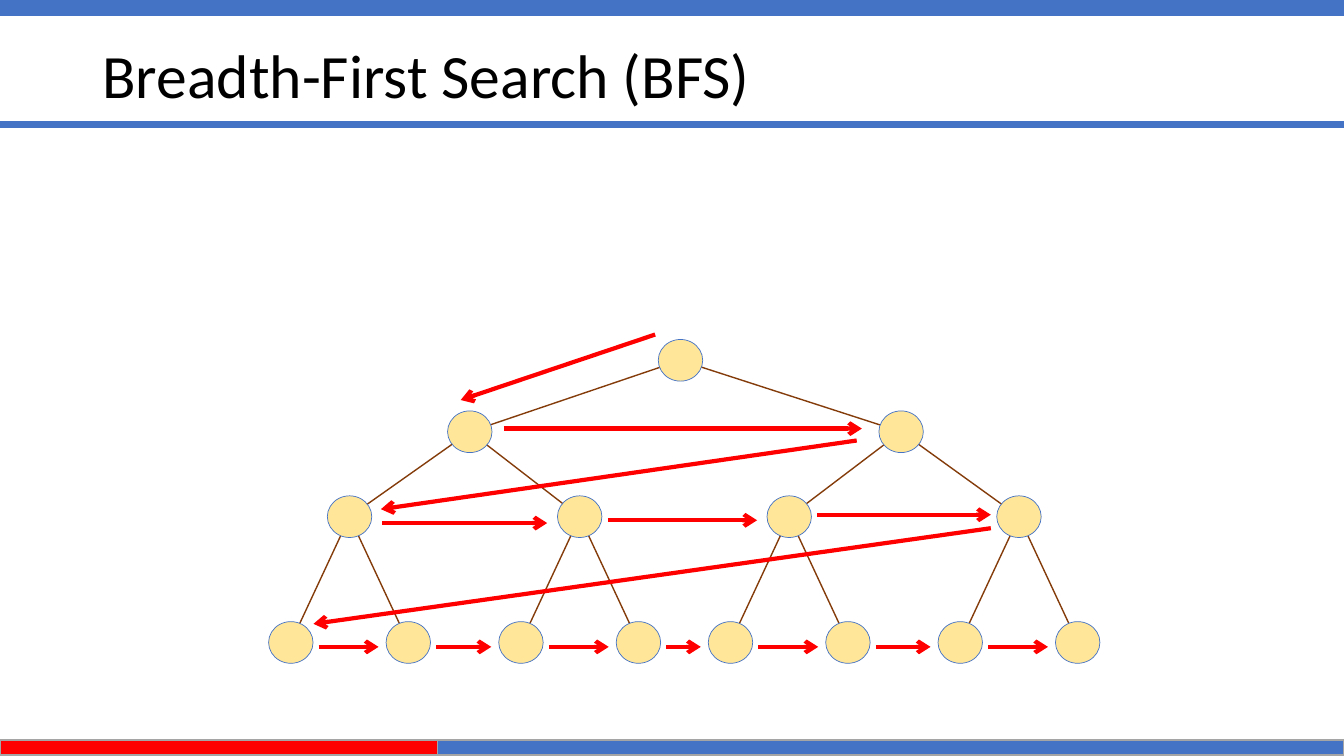
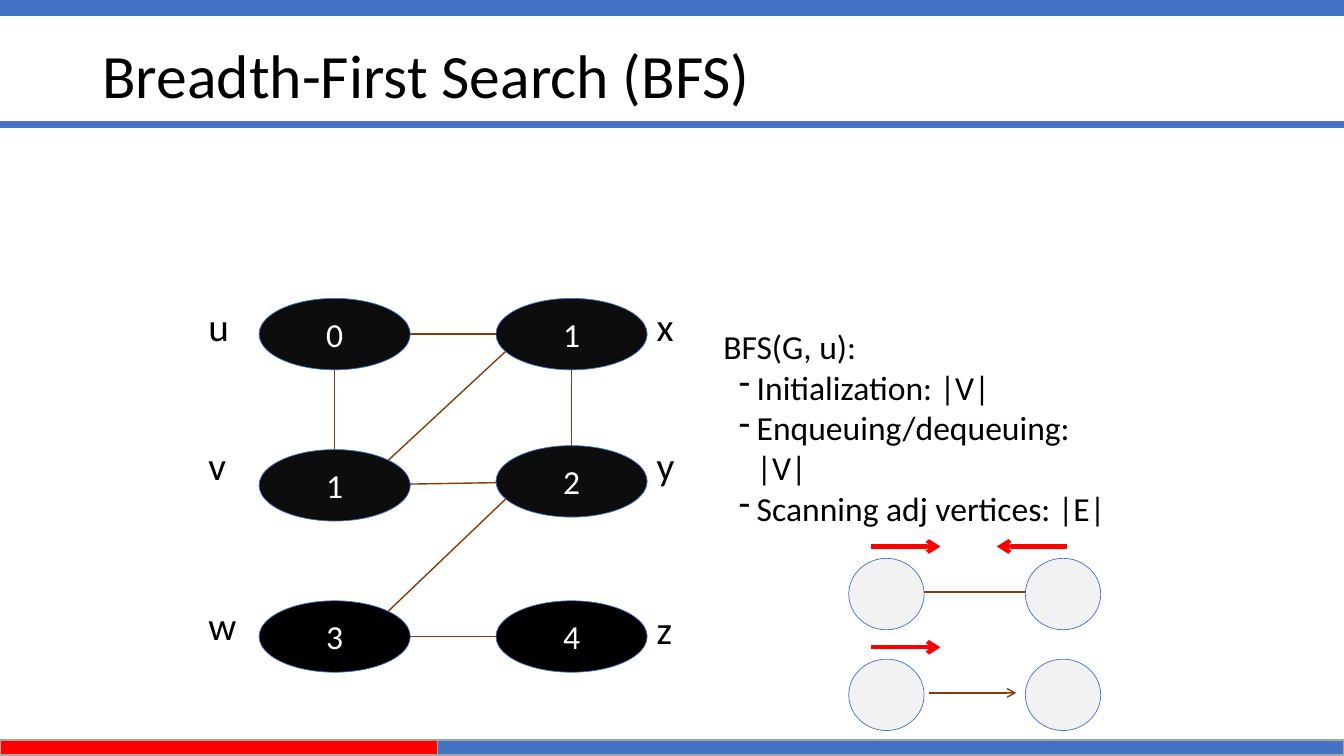
from lxml.etree import SubElement as Sub
from pptx import Presentation
from pptx.dml.color import RGBColor as RGB
from pptx.enum.shapes import MSO_CONNECTOR as Conn, MSO_SHAPE as Form
from pptx.enum.text import MSO_ANCHOR as Anchor, MSO_AUTO_SIZE as Auto, PP_ALIGN as Align
from pptx.oxml.ns import qn
from pptx.util import Cm, Pt

BLUE = RGB(0x44, 0x72, 0xC4)
RED = RGB(0xFF, 0x00, 0x00)
GRAY = RGB(0xA5, 0xA5, 0xA5)
BROWN = RGB(0x84, 0x3C, 0x0B)
CREAM = RGB(0xFF, 0xE6, 0x99)
PALE = RGB(0xF2, 0xF2, 0xF2)
INK = RGB(0x0D, 0x0D, 0x0D)
BLACK = RGB(0x00, 0x00, 0x00)
WHITE = RGB(0xFF, 0xFF, 0xFF)
FONT = "Calibri"
TITLE = "Breadth-First Search (BFS)"
WIDE, HIGH = 33.87, 19.05


# Basic parts, all lengths in centimetres

def style(para, size, color=BLACK):
    para.font.name = FONT
    para.font.size = Pt(size)
    para.font.color.rgb = color


def shape(slide, form, x, y, w, h, fill, edge=BLUE, weight=0.5):
    item = slide.shapes.add_shape(form, Cm(x), Cm(y), Cm(w), Cm(h))
    item.shadow.inherit = False
    item.fill.solid()
    item.fill.fore_color.rgb = fill
    item.line.color.rgb = edge
    item.line.width = Pt(weight)
    return item


def oval(slide, x, y, w, h, fill, text=""):
    item = shape(slide, Form.OVAL, x, y, w, h, fill)
    if text:
        frame = item.text_frame
        frame.vertical_anchor = Anchor.MIDDLE
        para = frame.paragraphs[0]
        para.text = text
        para.alignment = Align.CENTER
        style(para, 24, WHITE)


def line(slide, x1, y1, x2, y2, color=BROWN, weight=1, arrow=False):
    item = slide.shapes.add_connector(
        Conn.STRAIGHT, Cm(x1), Cm(y1), Cm(x2), Cm(y2))
    item.line.color.rgb = color
    item.line.width = Pt(weight)
    props = item.element.spPr
    if arrow:
        Sub(props.find(qn("a:ln")), qn("a:tailEnd"), type="arrow")
    Sub(props, qn("a:effectLst"))


def arrow(slide, x1, y1, x2, y2):
    line(slide, x1, y1, x2, y2, RED, 3, True)


def text_box(slide, x, y, w, h):
    frame = slide.shapes.add_textbox(Cm(x), Cm(y), Cm(w), Cm(h)).text_frame
    frame.word_wrap = True
    frame.auto_size = Auto.SHAPE_TO_FIT_TEXT
    return frame


# Shared frame: bands and title

def base(prs):
    slide = prs.slides.add_slide(prs.slide_layouts[5])
    for x, y, w, h, fill, edge in (
            (0, 0, WIDE, 0.38, BLUE, BLUE),
            (0, 3.07, WIDE, 0.13, BLUE, BLUE),
            (0, 18.65, 11.05, 0.38, RED, GRAY),
            (11.03, 18.65, WIDE - 11.03, 0.38, BLUE, GRAY)):
        shape(slide, Form.RECTANGLE, x, y, w, h, fill, edge, 1)
    title = slide.shapes.title
    title.left, title.top = Cm(2.33), Cm(1.02)
    title.width, title.height = Cm(29.21), Cm(3.68)
    frame = title.text_frame
    frame.vertical_anchor = Anchor.TOP
    para = frame.paragraphs[0]
    para.text = TITLE
    para.alignment = Align.LEFT
    para.line_spacing = 0.9
    style(para, 44)
    return slide


# Binary tree with its visiting order

def tree(slide, x, y):
    mids = [2.01, 7.81, 13.09, 18.88]
    leaves = [mid + side for mid in mids for side in (-1.48, 1.48)]
    rows = [(0.68, [10.35]), (2.48, [5.04, 15.91]), (4.62, mids), (7.79, leaves)]
    # edges lie behind the nodes
    for (top, heads), (low, kids) in zip(rows, rows[1:]):
        for i, kid in enumerate(kids):
            line(slide, x + heads[i // 2], y + top, x + kid, y + low)
    w, h = 1.12, 1.05
    for mid, row in rows:
        for node in row:
            oval(slide, x + node - w / 2, y + mid - h / 2, w, h, CREAM)
    steps = [
        (9.71, 0.03, 4.81, 1.68),
        (5.9, 2.4, 14.92, 2.4),
        (14.79, 2.7, 2.8, 4.43),
        (2.83, 4.78, 6.99, 4.78),
        (8.52, 4.71, 12.28, 4.71),
        (13.8, 4.57, 18.17, 4.57),
        (18.17, 4.91, 1.1, 7.32)]
    steps += [(a + 0.7, 7.9, b - 0.75, 7.9) for a, b in zip(leaves, leaves[1:])]
    for x1, y1, x2, y2 in steps:
        arrow(slide, x + x1, y + y1, x + x2, y + y2)


# Graph with the distance of each vertex

def graph(slide, x, y):
    w, h = 3.81, 1.8
    left, right = 1.53, 7.5
    nodes = {  # name: node left, node top, distance, fill, label left, label top
        "u": (left, 0.02, "0", INK, 0, 0),
        "x": (right, 0.02, "1", INK, 11.3, 0),
        "v": (left, 3.83, "1", INK, 0, 3.5),
        "y": (right, 3.73, "2", INK, 11.3, 3.5),
        "w": (left, 7.64, "3", BLACK, 0, 7.54),
        "z": (right, 7.64, "4", BLACK, 11.3, 7.64)}
    mid = {name: (x + node[0] + w / 2, y + node[1] + h / 2)
           for name, node in nodes.items()}
    for a, b in ("ux", "vy", "wz", "uv", "xy"):
        line(slide, *mid[a], *mid[b])
    for a, b in ("xv", "yw"):  # slanted edges meet the rims
        (ax, ay), (bx, by) = mid[a], mid[b]
        line(slide, ax - 1.3, ay + 0.1, bx + 1.1, by - 0.4)
    for name, (nx, ny, step, fill, tx, ty) in nodes.items():
        oval(slide, x + nx, y + ny, w, h, fill, step)
        para = text_box(slide, x + tx, y + ty, 1.27, 1.45).paragraphs[0]
        para.text = name
        style(para, 28)


# Cost list

def costs(slide, x, y, w, h):
    frame = text_box(slide, x, y, w, h)
    head = frame.paragraphs[0]
    head.text = "BFS(G, u):"
    style(head, 24)
    for text in ("Initialization: |V|", "Enqueuing/dequeuing:\v|V|",
                 "Scanning adj vertices: |E|"):
        para = frame.add_paragraph()
        para.text = text
        props = para._p.get_or_add_pPr()
        props.set("marL", str(Cm(0.84)))
        props.set("indent", str(-Cm(0.45)))
        Sub(props, qn("a:buChar"), char="-")
        style(para, 24)


# Two vertices and the scans along their edge

def pair(slide, x, y, both):
    far, w, h = 4.45, 1.9, 1.8
    if both:
        line(slide, x + w, y + 1.15, x + far, y + 1.15)
        arrow(slide, x + 5.49, y, x + 3.73, y)
    else:
        line(slide, x + 2.03, y + 1.15, x + 4.22, y + 1.15, arrow=True)
    arrow(slide, x + 0.56, y, x + 2.31, y)
    for left in (0, far):
        oval(slide, x + left, y + 0.3, w, h, PALE)


def main():
    prs = Presentation()
    prs.slide_width, prs.slide_height = Cm(WIDE), Cm(HIGH)
    tree(base(prs), 6.8, 8.4)
    slide = base(prs)
    graph(slide, 5, 7.5)
    costs(slide, 17.98, 8.1, 11.43, 5.38)
    for row, both in enumerate((True, False)):
        pair(slide, 21.39, 13.77 + 2.54 * row, both)
    prs.save("out.pptx")


if __name__ == "__main__":
    main()
